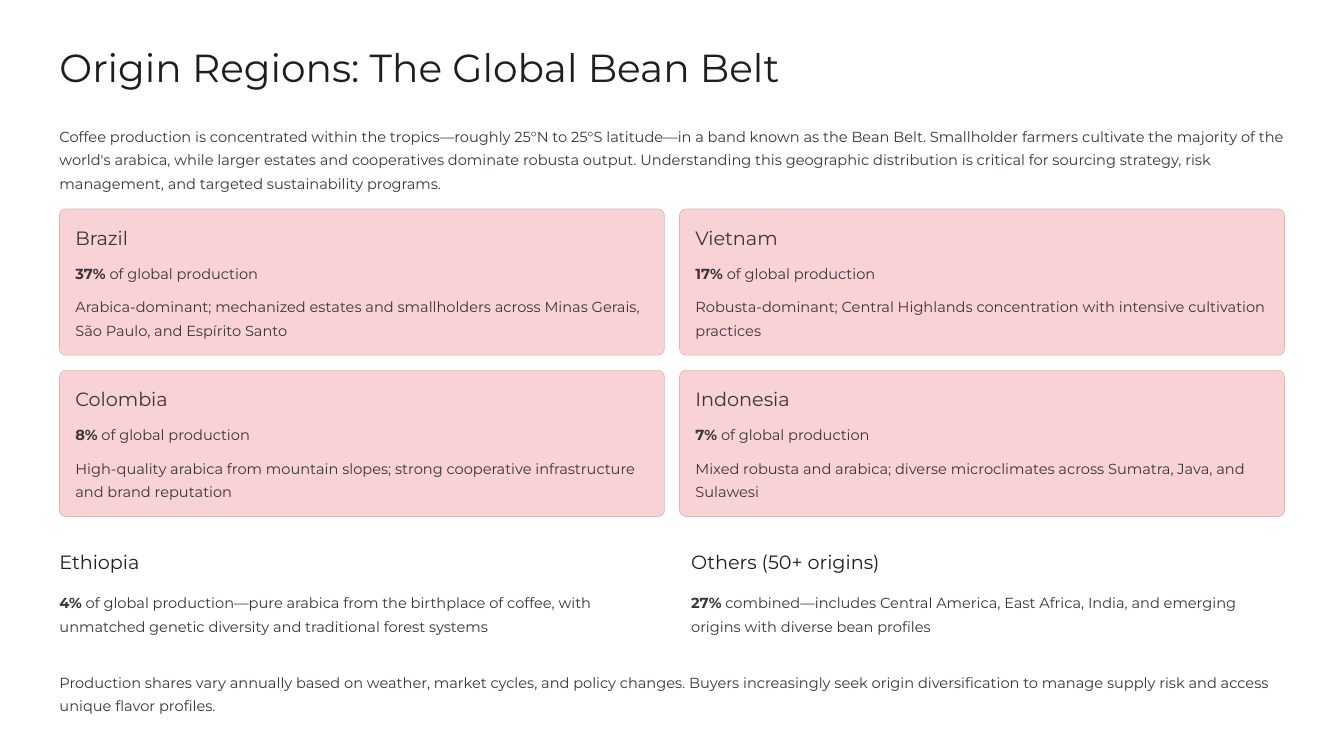
from pptx import Presentation
from pptx import util as u
from pptx.dml import color
from pptx.enum import shapes, text

FONT = "Montserrat"
INK, BODY, CARD, BORDER = "1F1E1E", "3B3535", "F9D2D6", "DFB8BC"
LEFT, WIDTH = 1.8, 37.01
CARD_TOP, CARD_W, CARD_H, CARD_GAP, PAD = 6.32, 18.29, 4.42, 0.46, 0.48
COLUMN_TOP, COLUMN_W, COLUMN_STEP = 16.59, 17.96, 19.1

INTRO = (
    "Coffee production is concentrated within the tropics—roughly 25°N to 25°S latitude—in a band "
    "known as the Bean Belt. Smallholder farmers cultivate the majority of the world's arabica, while "
    "larger estates and cooperatives dominate robusta output. Understanding this geographic "
    "distribution is critical for sourcing strategy, risk management, and targeted sustainability "
    "programs."
)
CLOSING = (
    "Production shares vary annually based on weather, market cycles, and policy changes. Buyers "
    "increasingly seek origin diversification to manage supply risk and access unique flavor profiles."
)
MAJOR_ORIGINS = [
    ("Brazil", "37%", "Arabica-dominant; mechanized estates and smallholders across Minas Gerais, "
                      "São Paulo, and Espírito Santo"),
    ("Vietnam", "17%", "Robusta-dominant; Central Highlands concentration with intensive cultivation "
                       "practices"),
    ("Colombia", "8%", "High-quality arabica from mountain slopes; strong cooperative infrastructure "
                       "and brand reputation"),
    ("Indonesia", "7%", "Mixed robusta and arabica; diverse microclimates across Sumatra, Java, and "
                        "Sulawesi"),
]
OTHER_ORIGINS = [
    ("Ethiopia", "4%", " of global production—pure arabica from the birthplace of coffee, with "
                       "unmatched genetic diversity and traditional forest systems"),
    ("Others (50+ origins)", "27%", " combined—includes Central America, East Africa, India, and "
                                    "emerging origins with diverse bean profiles"),
]


def rgb(hex_code):
    """Turn a hex string into a colour."""
    return color.RGBColor.from_string(hex_code)


def add_text(slide, box, runs, size=12.5, leading=20.5, ink=BODY):
    """Write (words, bold) runs as one paragraph in a box given in centimetres."""
    frame = slide.shapes.add_textbox(*map(u.Cm, box)).text_frame
    frame.word_wrap = True
    frame.auto_size = text.MSO_AUTO_SIZE.NONE
    frame.margin_left = frame.margin_top = frame.margin_right = frame.margin_bottom = 0
    paragraph = frame.paragraphs[0]
    paragraph.line_spacing = u.Pt(leading)
    for words, bold in runs:
        run = paragraph.add_run()
        run.text = words
        run.font.name = FONT
        run.font.size = u.Pt(size)
        run.font.bold = bold
        run.font.color.rgb = rgb(ink)


def add_heading(slide, left, top, width, words, ink):
    """Write the name of an origin."""
    add_text(slide, (left, top, width, 0.74), [(words, False)], 16.5, 21, ink)


def add_card(slide, box, origin, share, profile):
    """Draw a card with an origin, its share and its profile."""
    left, top, width, height = box
    card = slide.shapes.add_shape(shapes.MSO_SHAPE.ROUNDED_RECTANGLE, *map(u.Cm, box))
    card.adjustments[0] = 0.043
    card.shadow.inherit = False
    card.fill.solid()
    card.fill.fore_color.rgb = rgb(CARD)
    card.line.color.rgb = rgb(BORDER)
    card.line.width = u.Pt(0.6)
    inner_left, inner_width = left + PAD, width - 2 * PAD
    add_heading(slide, inner_left, top + PAD, inner_width, origin, BODY)
    add_text(slide, (inner_left, top + 1.5, inner_width, 0.74),
             [(share, True), (" of global production", False)])
    add_text(slide, (inner_left, top + 2.5, inner_width, 1.45), [(profile, False)])


def add_column(slide, left, top, width, origin, share, profile):
    """Write an origin with its share and profile on the plain background."""
    add_heading(slide, left, top, width, origin, INK)
    add_text(slide, (left, top + 1.19, width, 1.45), [(share, True), (profile, False)])


def build_origins(slide):
    """Lay out the title, introduction, cards, columns and closing note."""
    add_text(slide, (LEFT, 1.24, 22.33, 1.5),
             [("Origin Regions: The Global Bean Belt", False)], 33.5, 42, INK)
    add_text(slide, (LEFT, 3.66, WIDTH, 2.18), [(INTRO, False)])
    for index, origin in enumerate(MAJOR_ORIGINS):
        row, column = divmod(index, 2)
        left = LEFT + column * (CARD_W + CARD_GAP)
        top = CARD_TOP + row * (CARD_H + CARD_GAP)
        add_card(slide, (left, top, CARD_W, CARD_H), *origin)
    for index, origin in enumerate(OTHER_ORIGINS):
        add_column(slide, LEFT + index * COLUMN_STEP, COLUMN_TOP, COLUMN_W, *origin)
    add_text(slide, (LEFT, 20.17, WIDTH, 1.45), [(CLOSING, False)])


def main():
    """Build and save the slide."""
    deck = Presentation()
    deck.slide_width, deck.slide_height = u.Cm(40.64), u.Cm(22.86)
    build_origins(deck.slides.add_slide(deck.slide_layouts[6]))
    deck.save("out.pptx")


if __name__ == "__main__":
    main()
